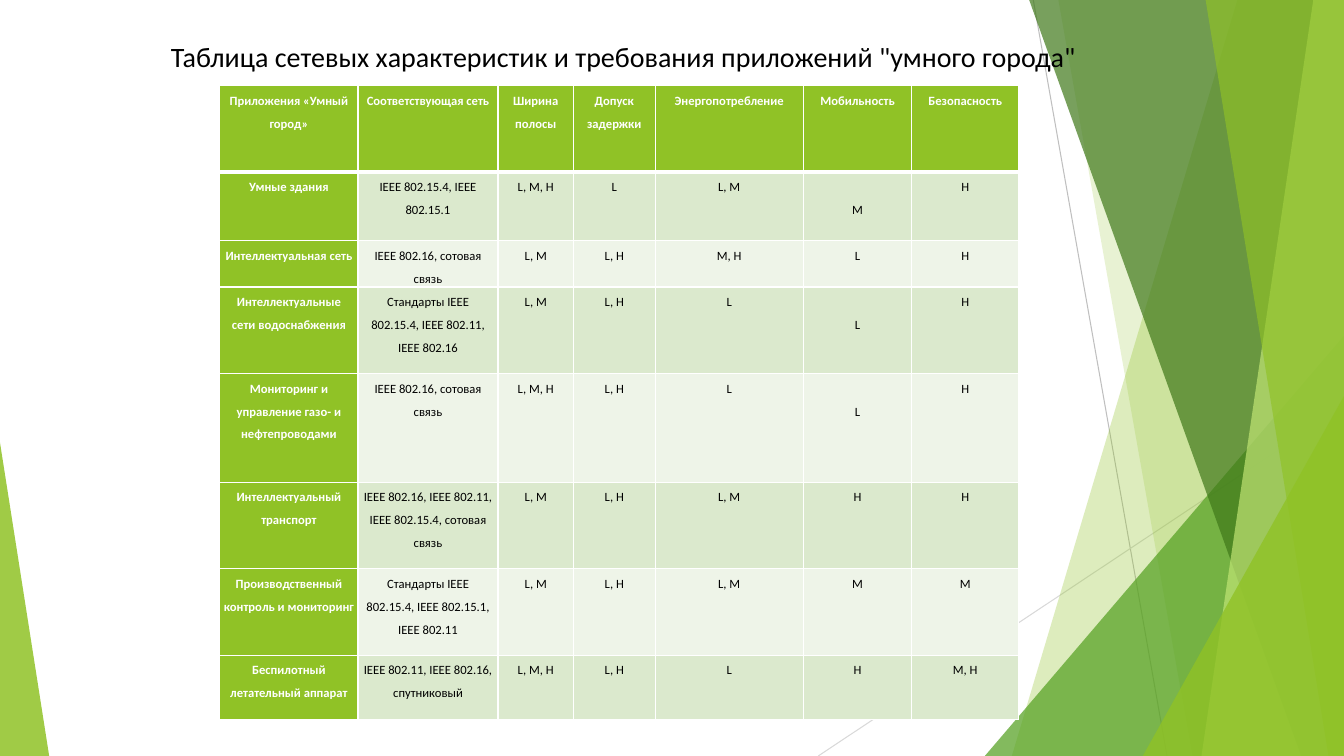
from lxml import etree
from pptx import Presentation
from pptx import util as u
from pptx.dml.color import RGBColor
from pptx.enum import shapes, text
from pptx.oxml import parse_xml
from pptx.oxml.ns import qn

NS = 'xmlns:a="http://schemas.openxmlformats.org/drawingml/2006/main"'
PAGE_BOX = (0, 0, 33.87, 19.05)
TITLE_BOX = (4.06, 0.86, 23.5, 1.12)
TABLE_BOX = (5.54, 2.16, 20.13, 15.97)
GREEN, WHITE, BLACK = "90C226", "FFFFFF", "000000"
BANDS = ("DBE9CD", "EEF4E8")
COLUMNS = (3.48, 3.53, 1.9, 2.06, 3.73, 2.74, 2.69)
ROWS = (2.17, 1.74, 1.16, 2.18, 2.74, 2.18, 2.18, 1.62)
LINE_STEP = 0.58
LOWERED = {(1, 5), (3, 5), (4, 5)}
TITLE = 'Таблица сетевых характеристик и требования приложений "умного города"'
REQUIREMENTS = (
    ("Приложения «Умный город»", "Соответствующая сеть", "Ширина полосы", "Допуск задержки",
     "Энергопотребление", "Мобильность", "Безопасность"),
    ("Умные здания", "IEEE 802.15.4, IEEE 802.15.1", "L, M, H", "L", "L, M", "M", "H"),
    ("Интеллектуальная сеть", "IEEE 802.16, сотовая связь", "L, M", "L, H", "M, H", "L", "H"),
    ("Интеллектуальные сети водоснабжения", "Стандарты IEEE 802.15.4, IEEE 802.11, IEEE 802.16",
     "L, M", "L, H", "L", "L", "H"),
    ("Мониторинг и управление газо- и нефтепроводами", "IEEE 802.16, сотовая связь",
     "L, M, H", "L, H", "L", "L", "H"),
    ("Интеллектуальный транспорт", "IEEE 802.16, IEEE 802.11, IEEE 802.15.4, сотовая связь",
     "L, M", "L, H", "L, M", "H", "H"),
    ("Производственный контроль и мониторинг",
     "Стандарты IEEE 802.15.4, IEEE 802.15.1, IEEE 802.11", "L, M", "L, H", "L, M", "M", "M"),
    ("Беспилотный летательный аппарат", "IEEE 802.11, IEEE 802.16, спутниковый",
     "L, M, H", "L, H", "L", "H", "M, H"),
)


def color(value):
    """Turn a hex string into a colour."""
    return RGBColor.from_string(value)


def apply_format(target, values):
    """Set each named attribute of the target."""
    for name, value in values.items():
        setattr(target, name, value)


def paint(shape, fill, opacity):
    """Fill a shape with a translucent colour and no outline."""
    shape.shadow.inherit = False
    shape.fill.solid()
    shape.fill.fore_color.rgb = color(fill)
    shape.line.fill.background()
    tone = shape.fill._xPr.find(qn("a:solidFill"))[0]
    etree.SubElement(tone, qn("a:alpha"), val=str(opacity * 1000))


def write(para, words, size, tint, bold=False):
    """Add one formatted span to a paragraph."""
    span = para.add_run()
    span.text = words
    apply_format(span.font, {"name": "Calibri", "size": u.Pt(size), "bold": bold})
    span.font.color.rgb = color(tint)


def add_line(page, box, start, end, tint):
    """Draw a thin line between two points of the box."""
    left, top = box[:2]
    ends = [u.Cm(v) for v in (left + start[0], top + start[1], left + end[0], top + end[1])]
    line = page.shapes.add_connector(shapes.MSO_CONNECTOR.STRAIGHT, *ends)
    line.line.color.rgb = color(tint)
    line.line.width = u.Pt(0.75)
    etree.SubElement(line._element.spPr, qn("a:effectLst"))


def add_blade(page, box, upper, lower, fill, opacity):
    """Draw a panel from a slanted left edge to the right side of the box."""
    left, top, width, height = box
    corners = [(upper, -0.02), (width, -0.02), (width, height), (lower, height)]
    points = [(u.Cm(left + x), u.Cm(top + y)) for x, y in corners]
    builder = page.shapes.build_freeform(*points[0])
    builder.add_line_segments(points[1:], close=True)
    paint(builder.convert_to_shape(), fill, opacity)


def add_corner(page, box, x, width, height, apex, fill, opacity):
    """Draw a right triangle standing on the bottom of the box."""
    place = (box[0] + x, box[1] + box[3] - height, width, height)
    corner = page.shapes.add_shape(
        shapes.MSO_SHAPE.ISOSCELES_TRIANGLE, *[u.Cm(v) for v in place])
    corner.adjustments[0] = apex
    paint(corner, fill, opacity)


def add_backdrop(page, box):
    """Place the green facets along the sides of the box."""
    width, height = box[2:]
    add_line(page, box, (26.04, 0), (29.41, height), "BFBFBF")
    add_line(page, box, (width, 10.24), (20.62, height), "D9D9D9")
    add_blade(page, box, 31.19, 25.5, GREEN, 30)
    add_blade(page, box, 26.67, 30.05, GREEN, 20)
    add_corner(page, box, 24.82, 9.05, 10.59, 1, "54A021", 72)
    add_blade(page, box, 25.93, 32.79, "3F7819", 70)
    add_blade(page, box, 33.1, 30.28, "C0E474", 70)
    add_blade(page, box, 30.38, 33.48, GREEN, 65)
    add_corner(page, box, 28.8, 5.07, 9.07, 1, GREEN, 80)
    add_corner(page, box, 0, 1.24, 7.9, 0, GREEN, 85)


def add_borders(cell, weights):
    """Draw white borders of the given weights around a cell."""
    properties = cell._tc.get_or_add_tcPr()
    for index, (side, weight) in enumerate(weights.items()):
        properties.insert(index, parse_xml(
            f'<a:ln{side} {NS} w="{u.Pt(weight)}"><a:solidFill>'
            f'<a:srgbClr val="{WHITE}"/></a:solidFill></a:ln{side}>'))


def fill_cell(cell, words, row, column):
    """Write and style one cell by its place in the table."""
    heading = row == 0 or column == 0
    apply_format(cell, {
        "margin_left": u.Cm(0.1), "margin_right": u.Cm(0.1), "margin_bottom": 0,
        "margin_top": u.Cm(LINE_STEP if (row, column) in LOWERED else 0),
        "vertical_anchor": text.MSO_ANCHOR.TOP})
    cell.fill.solid()
    cell.fill.fore_color.rgb = color(GREEN if heading else BANDS[(row - 1) % 2])
    add_borders(cell, {"L": 1, "R": 1, "T": 3 if row == 1 else 1, "B": 3 if row == 0 else 1})
    para = cell.text_frame.paragraphs[0]
    apply_format(para, {"alignment": text.PP_ALIGN.CENTER, "line_spacing": 1.5})
    write(para, words, 9, WHITE if heading else BLACK, heading)


def add_requirements(page, box):
    """Place the table of network requirements in the box."""
    frame = page.shapes.add_table(len(ROWS), len(COLUMNS), *[u.Cm(v) for v in box])
    table = frame.table
    for column, width in zip(table.columns, COLUMNS):
        column.width = u.Cm(width)
    for row, height in zip(table.rows, ROWS):
        row.height = u.Cm(height)
    for row, entries in enumerate(REQUIREMENTS):
        for column, words in enumerate(entries):
            fill_cell(table.cell(row, column), words, row, column)


def add_title(page, box):
    """Place the heading line in the box."""
    frame = page.shapes.add_textbox(*[u.Cm(v) for v in box]).text_frame
    apply_format(frame, {"word_wrap": False, "auto_size": text.MSO_AUTO_SIZE.SHAPE_TO_FIT_TEXT})
    write(frame.paragraphs[0], TITLE, 20, BLACK)


def main():
    """Build and save the deck."""
    deck = Presentation()
    apply_format(deck, {"slide_width": u.Cm(PAGE_BOX[2]), "slide_height": u.Cm(PAGE_BOX[3])})
    page = deck.slides.add_slide(deck.slide_layouts[6])
    add_backdrop(page, PAGE_BOX)
    add_requirements(page, TABLE_BOX)
    add_title(page, TITLE_BOX)
    deck.save("out.pptx")


if __name__ == "__main__":
    main()
